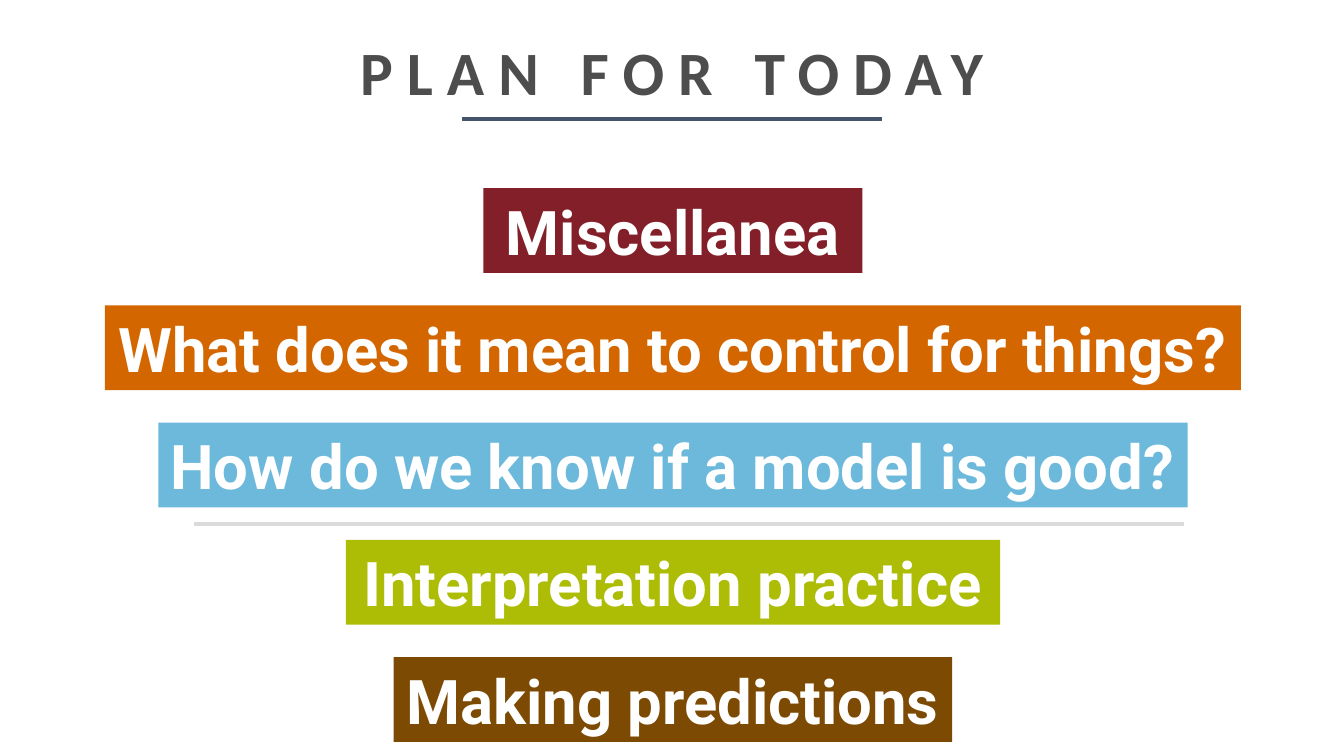
import pptx
import pptx.dml.color
import pptx.enum.shapes
import pptx.enum.text
import pptx.oxml
import pptx.oxml.ns
import pptx.util

Pt = pptx.util.Pt
COLORS = {
    "title": "4D4D4D",
    "underline": "44546A",
    "divider": "DBDBDB",
    "label": "FFFFFF",
    "maroon": "821F29",
    "orange": "D46600",
    "blue": "6CB9DC",
    "green": "ADBD06",
    "brown": "7D4A04",
}


def color(name):
    return pptx.dml.color.RGBColor.from_string(COLORS[name])


def write_centered(shape, text, font_name, color_name):
    """Fill a shape with one bold, centred 44 pt line and return its paragraph."""
    frame = shape.text_frame
    frame.vertical_anchor = pptx.enum.text.MSO_ANCHOR.MIDDLE
    paragraph = frame.paragraphs[0]
    paragraph.text = text
    paragraph.alignment = pptx.enum.text.PP_ALIGN.CENTER
    paragraph.font.name = font_name
    paragraph.font.size = Pt(44)
    paragraph.font.bold = True
    paragraph.font.color.rgb = color(color_name)
    return paragraph


presentation = pptx.Presentation()
presentation.slide_width = Pt(960)
presentation.slide_height = Pt(540)
slide = presentation.slides.add_slide(presentation.slide_layouts[6])

# Title
title = slide.shapes.add_textbox(Pt(66), Pt(12.2), Pt(828), Pt(72))
title.text_frame.word_wrap = True
heading = write_centered(title, "PLAN FOR TODAY", "Calibri", "title")
heading.line_spacing = 1.1
heading.runs[0].font.size = Pt(44)
heading.runs[0]._r.get_or_add_rPr().set("spc", "1000")

# Agenda bars, centred on one axis at an equal pitch
agenda = [
    ("Miscellanea", 270.7, "maroon"),
    ("What does it mean to control for things?", 811.4, "orange"),
    ("How do we know if a model is good?", 735.1, "blue"),
    ("Interpretation practice", 467.3, "green"),
    ("Making predictions", 398.9, "brown"),
]
AXIS, FIRST_TOP, PITCH, BAR_HEIGHT = 480.7, 134.4, 83.75, 60.6

for row, (topic, width, fill_name) in enumerate(agenda):
    bar = slide.shapes.add_shape(
        pptx.enum.shapes.MSO_SHAPE.RECTANGLE,
        Pt(AXIS - width / 2), Pt(FIRST_TOP + row * PITCH), Pt(width), Pt(BAR_HEIGHT))
    bar.shadow.inherit = False
    bar.fill.solid()
    bar.fill.fore_color.rgb = color(fill_name)
    bar.line.fill.background()
    bar.text_frame.word_wrap = False
    bar.text_frame.auto_size = pptx.enum.text.MSO_AUTO_SIZE.SHAPE_TO_FIT_TEXT
    write_centered(bar, topic, "Roboto", "label")

# Rules under the title and between the two halves of the agenda
for left, right, y, line_name in [(330, 630, 85, "underline"), (138.5, 846, 374.3, "divider")]:
    rule = slide.shapes.add_connector(
        pptx.enum.shapes.MSO_CONNECTOR.STRAIGHT, Pt(left), Pt(y), Pt(right), Pt(y))
    rule.line.color.rgb = color(line_name)
    rule.line.width = Pt(3)
    rule._element.spPr.append(pptx.oxml.parse_xml(
        f"<a:effectLst {pptx.oxml.ns.nsdecls('a')}/>"))

presentation.save("out.pptx")
